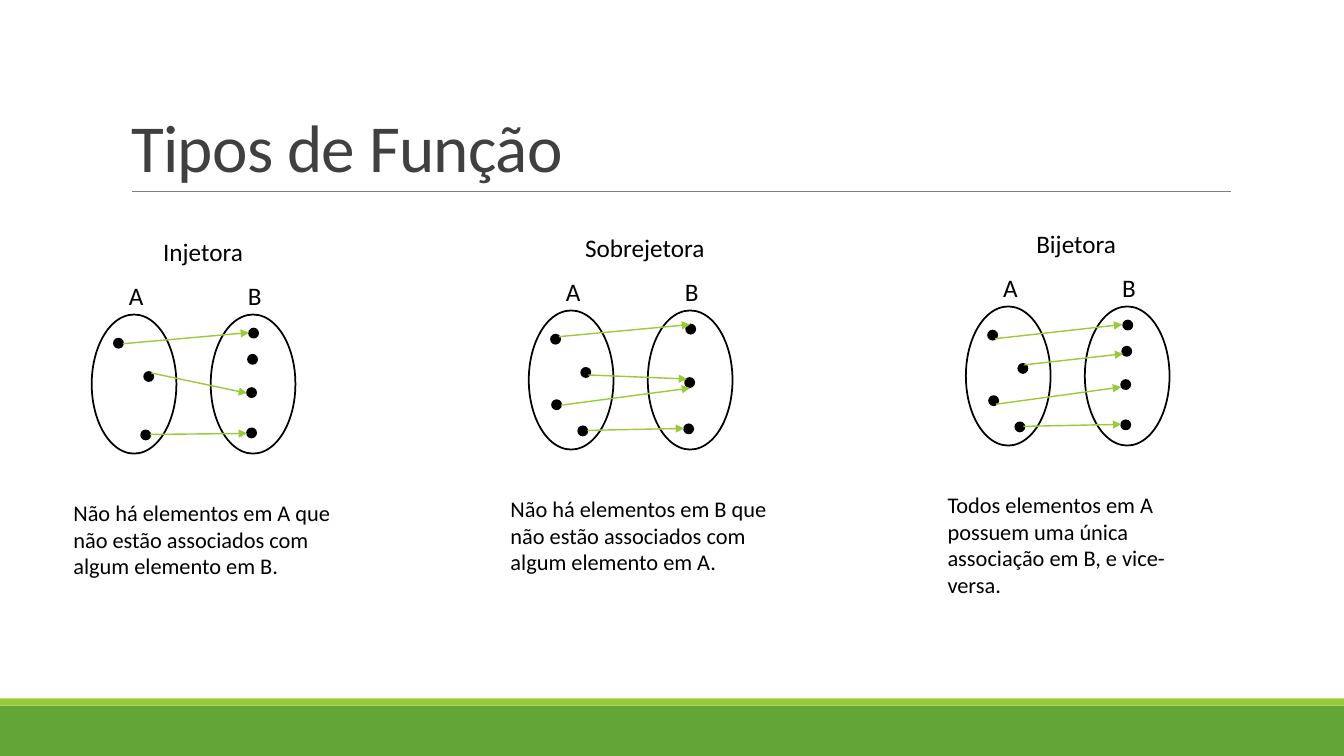
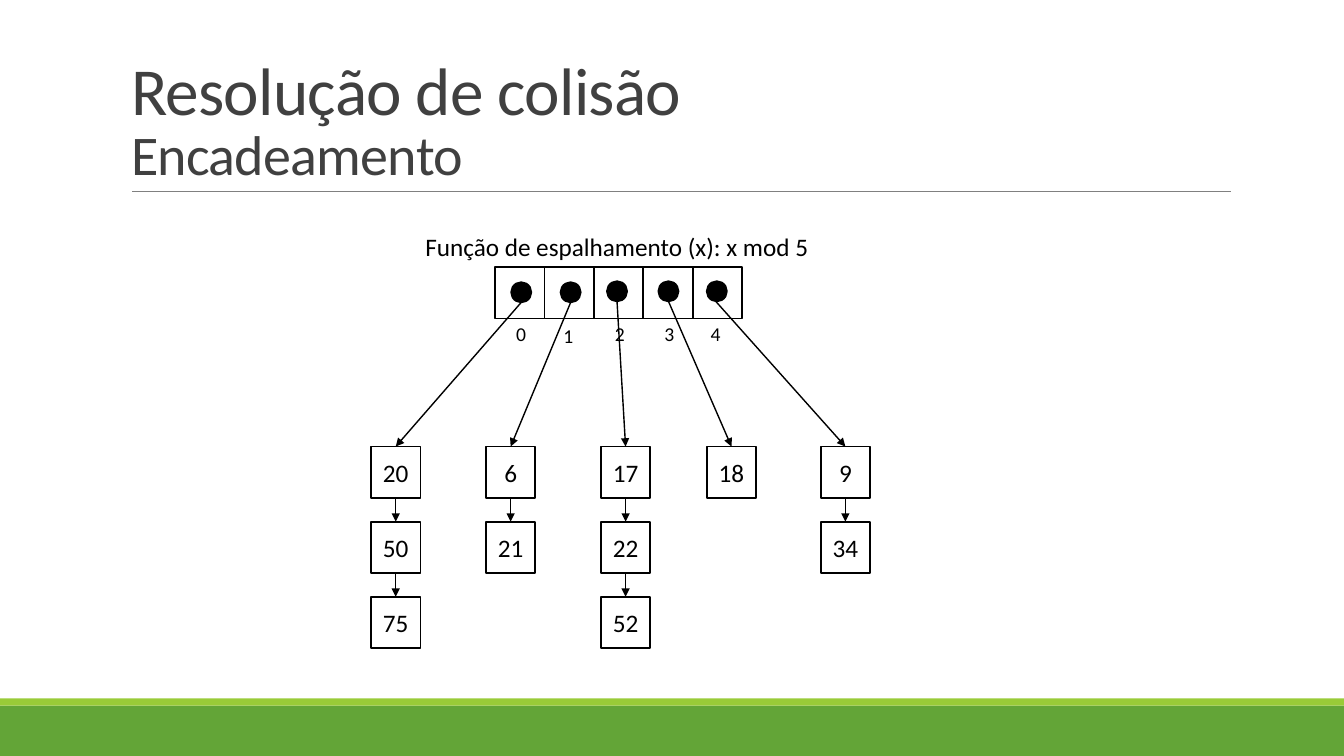
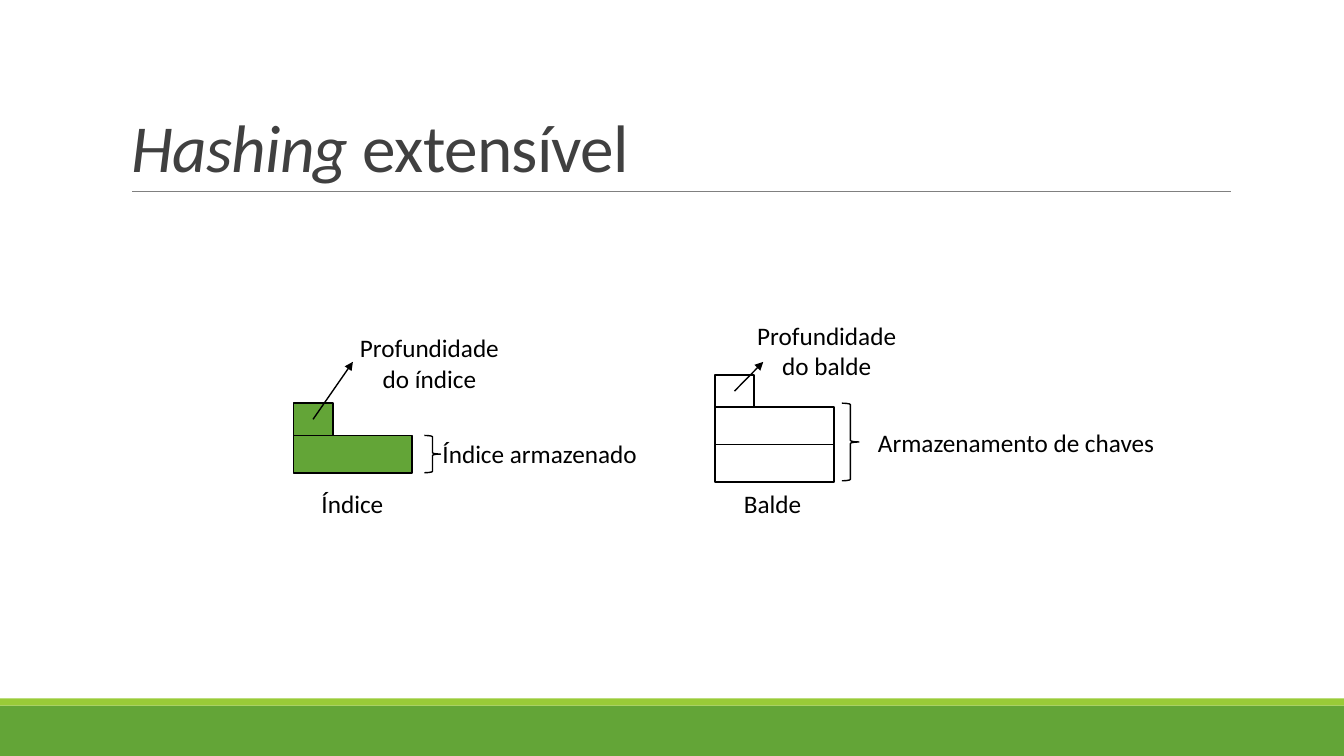
from dataclasses import dataclass
from typing import NamedTuple

from lxml import etree
from pptx import Presentation
from pptx.dml.color import RGBColor
from pptx.enum.shapes import MSO_CONNECTOR, MSO_SHAPE
from pptx.enum.text import MSO_ANCHOR, PP_ALIGN
from pptx.oxml.ns import qn
from pptx.util import Inches, Pt

# Shared look
WIDE, HIGH = 13.33, 7.5
FONT = "Calibri"
BLACK = RGBColor(0x00, 0x00, 0x00)
WHITE = RGBColor(0xFF, 0xFF, 0xFF)
GREEN = RGBColor(0x63, 0xA5, 0x37)
LIME = RGBColor(0x99, 0xCB, 0x38)
GREY = RGBColor(0x80, 0x80, 0x80)
DARK = RGBColor(0x40, 0x40, 0x40)
RECT, OVAL, BRACE = MSO_SHAPE.RECTANGLE, MSO_SHAPE.OVAL, MSO_SHAPE.RIGHT_BRACE
LINE = MSO_CONNECTOR.STRAIGHT
LEFT, MID = PP_ALIGN.LEFT, PP_ALIGN.CENTER
TITLE_ONLY = 5


class Spot(NamedTuple):
    x: float
    y: float


class Box(NamedTuple):
    x: float
    y: float
    w: float
    h: float


class Run(NamedTuple):
    text: str
    size: int = 48
    slant: bool = False


# Drawing tools
def place(box: Box) -> list:
    return [Inches(v) for v in box]


def draw(slide, kind, box: Box, fill=None, edge=BLACK, width=1.25):
    shape = slide.shapes.add_shape(kind, *place(box))
    shape.shadow.inherit = False
    if fill is None:
        shape.fill.background()
    else:
        shape.fill.solid()
        shape.fill.fore_color.rgb = fill
    if edge is None:
        shape.line.fill.background()
    else:
        shape.line.color.rgb = edge
        shape.line.width = Pt(width)
    return shape


def write(frame, text: str, size: int, align, wrap: bool) -> None:
    frame.word_wrap = wrap
    frame.text = text
    for par in frame.paragraphs:
        par.alignment = align
        par.font.name = FONT
        par.font.size = Pt(size)
        par.font.color.rgb = BLACK


def label(slide, box: Box, text: str, size=18, align=LEFT, wrap=True) -> None:
    frame = slide.shapes.add_textbox(*place(box)).text_frame
    write(frame, text, size, align, wrap)


def link(slide, start: Spot, end: Spot, color=BLACK, width=1.0, tip=True) -> None:
    line = slide.shapes.add_connector(LINE, *place((*start, *end)))
    line.line.color.rgb = color
    line.line.width = Pt(width)
    props = line._element.spPr
    if tip:
        etree.SubElement(props.find(qn("a:ln")), qn("a:tailEnd"), type="triangle")
    etree.SubElement(props, qn("a:effectLst"))


def start(deck, rows: list[list[Run]]):
    """Add a slide with its bands, rule and title."""
    slide = deck.slides.add_slide(deck.slide_layouts[TITLE_ONLY])
    draw(slide, RECT, Box(0, 7, WIDE, 0.5), GREEN, None)
    draw(slide, RECT, Box(0, 6.93, WIDE, 0.07), LIME, None)
    link(slide, Spot(1.31, 1.9), Spot(12.21, 1.9), GREY, 0.5, tip=False)

    title = slide.shapes.title
    title.left, title.top, title.width, title.height = place(Box(1.2, 0.31, 11, 1.59))
    frame = title.text_frame
    frame.vertical_anchor = MSO_ANCHOR.BOTTOM
    par = frame.paragraphs[0]
    par.alignment = LEFT
    par.line_spacing = 0.85
    par.font.name = FONT
    par.font.color.rgb = DARK
    for i, row in enumerate(rows):
        if i:
            par.add_line_break()
        for part in row:
            run = par.add_run()
            run.text = part.text
            run.font.size = Pt(part.size)
            run.font.italic = part.slant
            run._r.get_or_add_rPr().set("spc", "-50")
    return slide


# Slide 1: function types, each panel measured from its left oval
A_DOTS = [Spot(0.22, 0.24), Spot(0.52, 0.57), Spot(0.23, 0.89), Spot(0.49, 1.15)]
B_DOTS = [Spot(1.56, 0.14), Spot(1.55, 0.4), Spot(1.54, 0.73), Spot(1.54, 1.13)]
B_PAIR = Spot(1.55, 0.67)
STEP, RISE, DOT = 4.335, -0.04, 0.09


@dataclass
class Panel:
    name: str
    indent: float
    width: float
    note: str
    a_dots: list[Spot]
    b_dots: list[Spot]
    links: list[tuple[Spot, Spot]]


PANELS = [
    Panel("Injetora", 0.61, 1,
          "Não há elementos em A que não estão associados com algum elemento em B.",
          [A_DOTS[0], A_DOTS[1], A_DOTS[3]], B_DOTS,
          [(Spot(0.31, 0.29), Spot(1.56, 0.18)),
           (Spot(0.59, 0.58), Spot(1.54, 0.78)),
           (Spot(0.58, 1.19), Spot(1.54, 1.18))]),
    Panel("Sobrejetora", 0.46, 1.4,
          "Não há elementos em B que não estão associados com algum elemento em A.",
          A_DOTS, [B_DOTS[0], B_PAIR, B_DOTS[3]],
          [(Spot(0.3, 0.26), Spot(1.6, 0.14)),
           (Spot(0.59, 0.64), Spot(1.57, 0.68)),
           (Spot(0.32, 0.94), Spot(1.6, 0.77)),
           (Spot(0.58, 1.19), Spot(1.54, 1.17))]),
    Panel("Bijetora", 0.6, 1,
          "Todos elementos em A possuem uma única associação em B, e vice-versa.",
          A_DOTS, B_DOTS,
          [(Spot(0.29, 0.32), Spot(1.55, 0.18)),
           (Spot(0.58, 0.58), Spot(1.56, 0.47)),
           (Spot(0.3, 0.97), Spot(1.54, 0.8)),
           (Spot(0.57, 1.19), Spot(1.54, 1.17))]),
]


def types(deck) -> None:
    slide = start(deck, [[Run("Tipos de Função")]])
    for i, panel in enumerate(PANELS):
        x, y = 0.91 + i * STEP, 3.12 + i * RISE
        for name, gap in (("A", 0), ("B", 1.18)):
            draw(slide, OVAL, Box(x + gap, y, 0.84, 1.38), WHITE)
            label(slide, Box(x + gap + 0.27, y - 0.39, 0.31, 0.4), name)
        for dot in panel.a_dots + panel.b_dots:
            draw(slide, OVAL, Box(x + dot.x, y + dot.y, DOT, DOT), BLACK)
        label(slide, Box(x + panel.indent, y - 0.82, panel.width, 0.4),
              panel.name, wrap=False)
        label(slide, Box(x - 0.28, y + 1.78, 2.77, 0.91), panel.note, 16)
        for a, b in panel.links:
            link(slide, Spot(x + a.x, y + a.y), Spot(x + b.x, y + b.y), LIME)


# Slide 2: hash table with chained keys
CELL_W, CELL_H, ROW = 0.49, 0.51, 0.745
TABLE = Spot(4.91, 2.65)
CHAIN_TOP, BEAD = 4.43, 0.2


@dataclass
class Slot:
    bead: Spot
    mark: Spot
    left: float
    keys: list[int]
    exit: Spot = Spot(BEAD / 2, BEAD)


SLOTS = [
    Slot(Spot(5.07, 2.8), Spot(5.02, 3.14), 3.68, [20, 50, 75]),
    Slot(Spot(5.56, 2.8), Spot(5.49, 3.16), 4.82, [6, 21]),
    Slot(Spot(6.02, 2.79), Spot(6, 3.14), 5.96, [17, 22, 52]),
    Slot(Spot(6.53, 2.79), Spot(6.49, 3.14), 7.01, [18]),
    Slot(Spot(7.01, 2.79), Spot(6.95, 3.14), 8.14, [9, 34], Spot(0, BEAD / 2)),
]


def chains(deck) -> None:
    slide = start(deck, [[Run("Resolução de colisão")], [Run("Encadeamento", 40)]])
    label(slide, Box(4.12, 2.25, 4.05, 0.4),
          "Função de espalhamento (x): x mod 5", wrap=False)
    for i, slot in enumerate(SLOTS):
        draw(slide, RECT, Box(TABLE.x + i * CELL_W, TABLE.y, CELL_W, CELL_H), WHITE)
        label(slide, Box(*slot.mark, 0.3, 0.34), str(i), 14, wrap=False)
    for slot in SLOTS:
        mid = slot.left + CELL_W / 2
        for row, key in enumerate(slot.keys):
            top = CHAIN_TOP + row * ROW
            cell = draw(slide, RECT, Box(slot.left, top, CELL_W, CELL_H), WHITE)
            cell.text_frame.vertical_anchor = MSO_ANCHOR.MIDDLE
            write(cell.text_frame, str(key), 18, MID, False)
            if row:
                link(slide, Spot(mid, top - ROW + CELL_H), Spot(mid, top))
        draw(slide, OVAL, Box(*slot.bead, BEAD, BEAD), BLACK)
        link(slide, Spot(slot.bead.x + slot.exit.x, slot.bead.y + slot.exit.y),
             Spot(mid, CHAIN_TOP))


# Slide 3: index and bucket
TAB_W, TAB_H, BAR_W, BAR_H = 0.39, 0.32, 1.18, 0.37


@dataclass
class Block:
    left: float
    top: float
    rows: int
    fill: RGBColor
    name: str
    foot: Box
    brace: Box
    store: str
    side: Box
    depth: str
    head: Box
    tip: Spot


BLOCKS = [
    Block(2.91, 4, 1, GREEN, "Índice", Box(3.09, 4.8, 0.82, 0.4),
          Box(4.21, 4.32, 0.16, 0.37), "Índice armazenado",
          Box(4.29, 4.3, 2.15, 0.4), "Profundidade\ndo índice",
          Box(3.46, 3.25, 1.6, 0.71), Spot(3.5, 3.59)),
    Block(7.09, 3.72, 2, WHITE, "Balde", Box(7.28, 4.8, 1.82, 0.4),
          Box(8.35, 4, 0.17, 0.77), "Armazenamento de chaves",
          Box(8.61, 4.19, 2.97, 0.4), "Profundidade\ndo balde",
          Box(7.4, 3.13, 1.6, 0.71), Spot(7.57, 3.59)),
]


def hashing(deck) -> None:
    slide = start(deck, [[Run("Hashing ", slant=True), Run("extensível")]])
    for block in BLOCKS:
        for row in range(block.rows):
            top = block.top + TAB_H + row * BAR_H
            draw(slide, RECT, Box(block.left, top, BAR_W, BAR_H), block.fill)
        draw(slide, RECT, Box(block.left, block.top, TAB_W, TAB_H), block.fill)
        draw(slide, BRACE, block.brace, width=1)
        label(slide, block.foot, block.name, wrap=False)
        label(slide, block.side, block.store, wrap=False)
        label(slide, block.head, block.depth, align=MID, wrap=False)
        link(slide, Spot(block.left + TAB_W / 2, block.top + TAB_H / 2), block.tip)


def main() -> None:
    deck = Presentation()
    deck.slide_width, deck.slide_height = Inches(WIDE), Inches(HIGH)
    for build in (types, chains, hashing):
        build(deck)
    deck.save("out.pptx")


if __name__ == "__main__":
    main()
